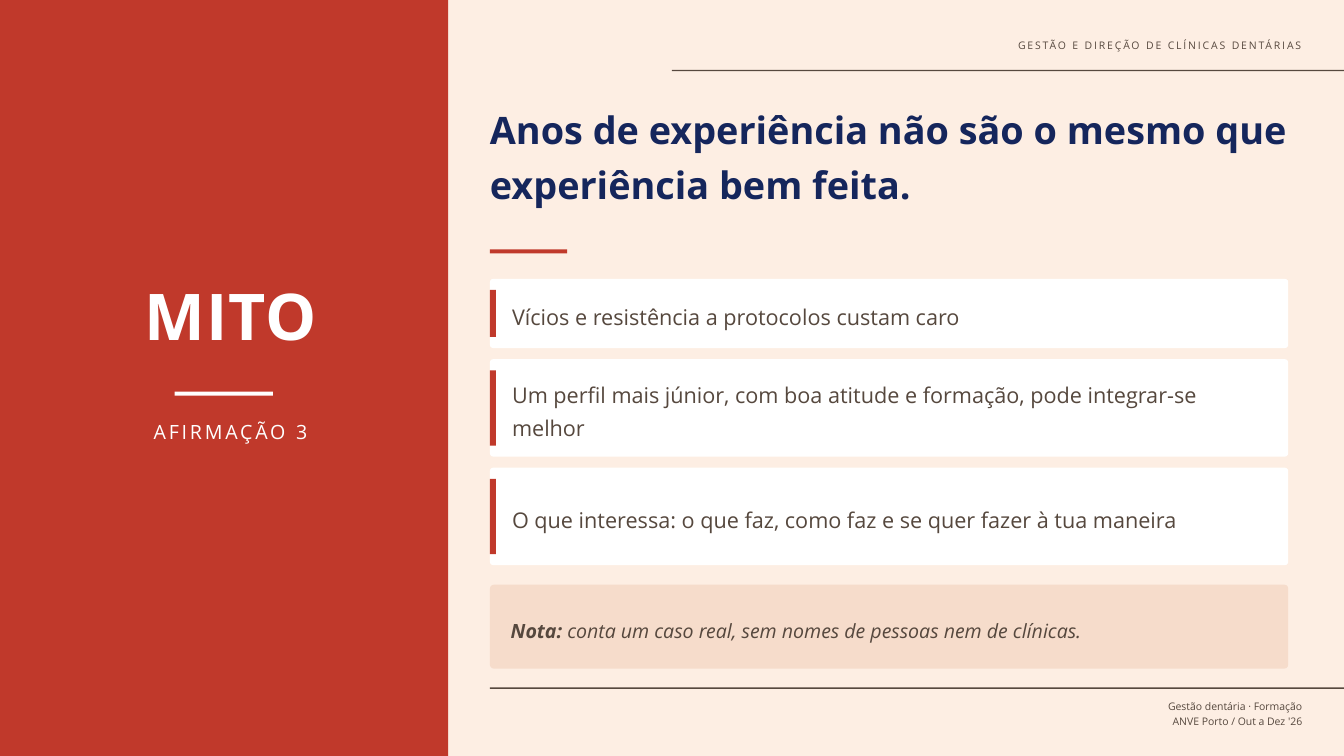
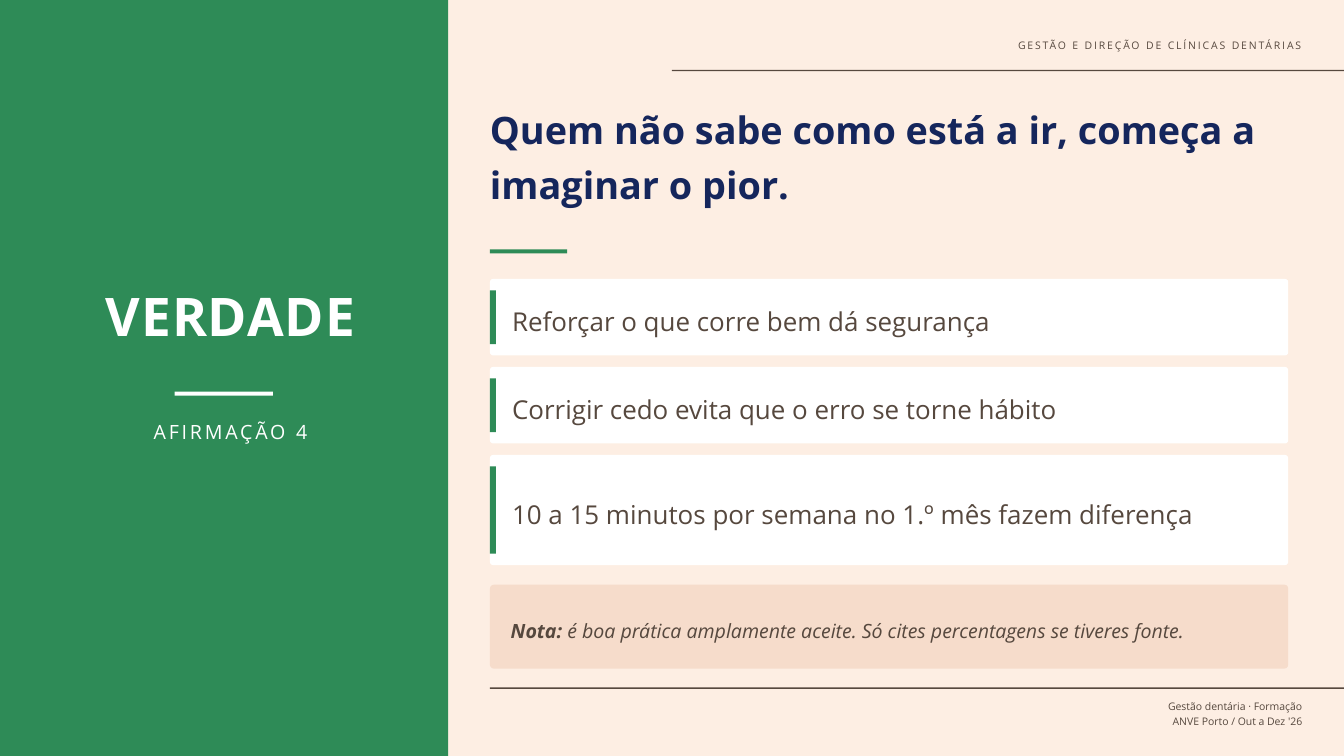
from pptx import Presentation
from pptx.dml.color import RGBColor
from pptx.enum.shapes import MSO_SHAPE
from pptx.enum.text import MSO_ANCHOR, MSO_AUTO_SIZE, PP_ALIGN
from pptx.util import Inches, Pt

RECT, ROUNDED = MSO_SHAPE.RECTANGLE, MSO_SHAPE.ROUNDED_RECTANGLE
LEFT, CENTER, RIGHT = PP_ALIGN.LEFT, PP_ALIGN.CENTER, PP_ALIGN.RIGHT
TOP, MIDDLE = MSO_ANCHOR.TOP, MSO_ANCHOR.MIDDLE

# Content
HEADER = "GESTÃO E DIREÇÃO DE CLÍNICAS DENTÁRIAS"
FOOTER = ["Gestão dentária · Formação", "ANVE Porto / Out a Dez '26"]
SLIDES = [
    {
        "verdict": "MITO", "verdict_size": 69, "accent": "myth",
        "label": "AFIRMAÇÃO 3",
        "title": "Anos de experiência não são o mesmo que experiência bem feita.",
        "card_size": 23.2,
        "cards": [  # text, height
            ("Vícios e resistência a protocolos custam caro", 1.03),
            ("Um perfil mais júnior, com boa atitude e formação, pode integrar-se melhor", 1.45),
            ("O que interessa: o que faz, como faz e se quer fazer à tua maneira", 1.45),
        ],
        "note": "conta um caso real, sem nomes de pessoas nem de clínicas.",
    },
    {
        "verdict": "VERDADE", "verdict_size": 57, "accent": "truth",
        "label": "AFIRMAÇÃO 4",
        "title": "Quem não sabe como está a ir, começa a imaginar o pior.",
        "card_size": 27.8,
        "cards": [
            ("Reforçar o que corre bem dá segurança", 1.14),
            ("Corrigir cedo evita que o erro se torne hábito", 1.14),
            ("10 a 15 minutos por semana no 1.º mês fazem diferença", 1.64),
        ],
        "note": "é boa prática amplamente aceite. Só cites percentagens se tiveres fonte.",
    },
]

# Shared style
FONT = "Open Sans"
COLORS = {
    "background": "FDEEE3", "text": "56483E", "title": "15265C", "white": "FFFFFF",
    "note": "F6DCCB", "myth": "C0392B", "truth": "2E8B57",
}
SLIDE_W, SLIDE_H = 20, 11.25
PANEL_W = 6.67
BODY_X, BODY_W = 7.29, 11.88
CARDS_TOP, CARDS_BOTTOM = 4.15, 8.41


def color(name):
    return RGBColor.from_string(COLORS[name])


def add_box(slide, x, y, w, h, fill, radius=0):
    sp = slide.shapes.add_shape(ROUNDED if radius else RECT,
                                Inches(x), Inches(y), Inches(w), Inches(h))
    if radius:
        sp.adjustments[0] = radius / h
    sp.shadow.inherit = False
    sp.fill.solid()
    sp.fill.fore_color.rgb = color(fill)
    sp.line.fill.background()


def add_text(slide, x, y, w, h, paragraphs, size, fill="text", align=LEFT, anchor=TOP,
             line=None, after=None, bold=False, italic=False, spacing=0):
    """Each paragraph is a string or a list of (text, bold) runs."""
    sp = slide.shapes.add_textbox(Inches(x), Inches(y), Inches(w), Inches(h))
    tf = sp.text_frame
    tf.word_wrap = True
    tf.auto_size = MSO_AUTO_SIZE.SHAPE_TO_FIT_TEXT
    tf.vertical_anchor = anchor
    tf.margin_left = tf.margin_top = tf.margin_right = tf.margin_bottom = 0
    for i, runs in enumerate(paragraphs):
        p = tf.add_paragraph() if i else tf.paragraphs[0]
        p.alignment = align
        if line:
            p.line_spacing = line
        if after:
            p.space_after = Pt(after)
        for text, run_bold in [(runs, bold)] if isinstance(runs, str) else runs:
            r = p.add_run()
            r.text = text
            r.font.name = FONT
            r.font.size = Pt(size)
            r.font.bold = run_bold
            r.font.italic = italic
            r.font.color.rgb = color(fill)
            if spacing:
                r.font._element.set("spc", str(spacing * 100))


def add_frame(slide):
    """Background, header and footer."""
    slide.background.fill.solid()
    slide.background.fill.fore_color.rgb = color("background")
    add_text(slide, 9.79, 0.52, 9.58, 0.31, [HEADER], 11.2, align=RIGHT,
             line=1.3, after=4.5, spacing=2)
    for x, y in ((SLIDE_W / 2, 1.04), (BODY_X, 10.23)):
        add_box(slide, x, y, SLIDE_W - x, 0.02, "text")
    add_text(slide, 10.42, 10.38, 8.96, 0.52, FOOTER, 11.2, align=RIGHT, line=1.2)


def add_panel(slide, data):
    """Coloured panel with the verdict."""
    add_box(slide, 0, 0, PANEL_W, SLIDE_H, data["accent"])
    add_text(slide, 0.62, 3.75, 5.62, 1.88, [data["verdict"]], data["verdict_size"],
             "white", CENTER, MIDDLE, bold=True, spacing=1)
    add_box(slide, 2.6, 5.83, 1.46, 0.06, "white")
    add_text(slide, 0.62, 6.15, 5.62, 0.62, [data["label"]], 21, "white", CENTER,
             line=1.3, after=4.5, spacing=3)


def add_cards(slide, data):
    """Cards share the column, with equal gaps; the gap also insets each accent bar."""
    cards = data["cards"]
    free = CARDS_BOTTOM - CARDS_TOP - sum(h for _, h in cards)
    gap = free / (len(cards) - 1)
    y = CARDS_TOP
    for text, h in cards:
        add_box(slide, BODY_X, y, BODY_W, h, "white", radius=0.05)
        add_box(slide, BODY_X, y + gap, 0.09, h - 2 * gap, data["accent"])
        add_text(slide, BODY_X + 0.33, y, 11.21, h, [text], data["card_size"],
                 anchor=MIDDLE, line=1.25, after=4.5)
        y += h + gap


def add_note(slide, note):
    y, h = 8.7, 1.25
    add_box(slide, BODY_X, y, BODY_W, h, "note", radius=0.06)
    add_text(slide, 7.6, y, 11.25, h, [[("Nota: ", True), (note, False)]], 21,
             anchor=MIDDLE, line=1.3, italic=True)


def main():
    prs = Presentation()
    prs.slide_width, prs.slide_height = Inches(SLIDE_W), Inches(SLIDE_H)
    for data in SLIDES:
        slide = prs.slides.add_slide(prs.slide_layouts[6])
        add_frame(slide)
        add_panel(slide, data)
        # Title and accent rule
        add_text(slide, BODY_X, 1.46, BODY_W, 2.11, [data["title"]], 40.5, "title",
                 line=1.2, bold=True)
        add_box(slide, BODY_X, 3.71, 1.15, 0.06, data["accent"])
        add_cards(slide, data)
        add_note(slide, data["note"])
    prs.save("out.pptx")


if __name__ == "__main__":
    main()
